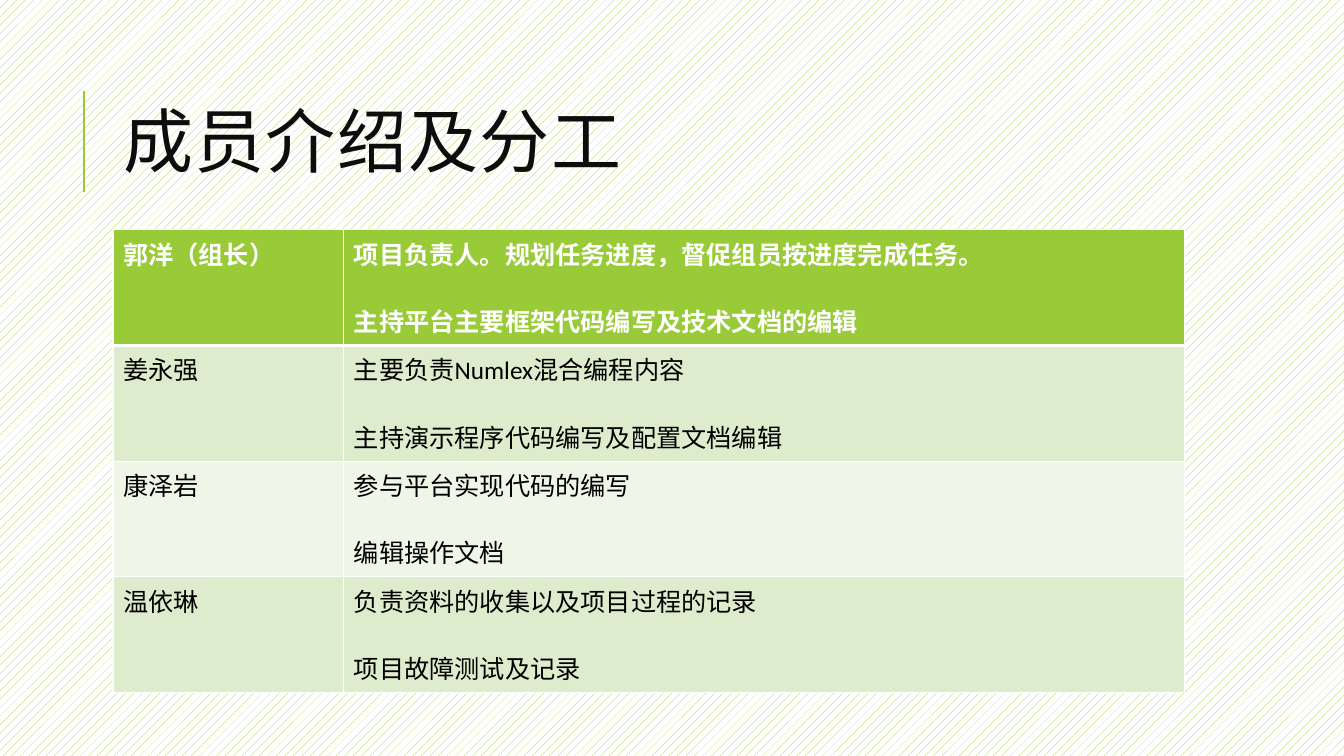
from dataclasses import dataclass

from lxml.etree import SubElement
from pptx import Presentation
from pptx.dml.color import RGBColor
from pptx.enum.dml import MSO_PATTERN
from pptx.enum.shapes import MSO_CONNECTOR
from pptx.enum.text import MSO_ANCHOR, MSO_AUTO_SIZE, PP_ALIGN
from pptx.oxml.ns import qn
from pptx.util import Inches, Pt


@dataclass(frozen=True)
class Theme:
    green: str = "99CB38"
    white: str = "FFFFFF"
    black: str = "000000"
    title_ink: str = "0D0D0D"
    bands: tuple = ("EFF6E8", "DEECCE")
    title_font: str = "Cabin"
    body_font: str = "Calibri"
    title_size: int = 50
    body_size: int = 18
    task_gap: int = 22
    rule_width: float = 1.5
    grid_width: int = 1
    header_rule_width: int = 3


THEME = Theme()
SLIDE_WIDTH, SLIDE_HEIGHT = 13.33, 7.5
LEFT, CONTENT_WIDTH = 1.12, 10.63
TITLE_BOX = (LEFT, 0.64, CONTENT_WIDTH, 1.64)
TABLE_BOX = (LEFT, 2.28, CONTENT_WIDTH, 4.59)
NAME_SHARE = 0.2154

MEMBERS = [
    ("郭洋（组长）", ["项目负责人。规划任务进度，督促组员按进度完成任务。",
                "主持平台主要框架代码编写及技术文档的编辑"]),
    ("姜永强", ["主要负责Numlex混合编程内容", "主持演示程序代码编写及配置文档编辑"]),
    ("康泽岩", ["参与平台实现代码的编写", "编辑操作文档"]),
    ("温依琳", ["负责资料的收集以及项目过程的记录", "项目故障测试及记录"]),
]


def color(code):
    return RGBColor.from_string(code)


def write(frame, lines, *, font, size, ink, bold=False, gap=0, line_spacing=None, tracking=None):
    frame.word_wrap = True
    for index, line in enumerate(lines):
        para = frame.add_paragraph() if index else frame.paragraphs[0]
        para.alignment = PP_ALIGN.LEFT
        para.space_before = Pt(gap if index else 0)
        if line_spacing:
            para.line_spacing = line_spacing
        span = para.add_run()
        span.text = line
        span.font.name = font
        span.font.size = Pt(size)
        span.font.bold = bold
        span.font.color.rgb = color(ink)
        if tracking:
            span.font._element.set("spc", str(tracking * 100))


def set_borders(cell, **widths):
    properties = cell._tc.get_or_add_tcPr()
    for side in "LRTB":
        width = Pt(widths.get(side, THEME.grid_width))
        line = SubElement(properties, qn(f"a:ln{side}"), w=str(width))
        fill = SubElement(line, qn("a:solidFill"))
        SubElement(fill, qn("a:srgbClr"), val=THEME.white)


def paint_background(page):
    fill = page.background.fill
    fill.patterned()
    fill.pattern = MSO_PATTERN.PERCENT_20
    fill.fore_color.rgb = color(THEME.green)
    fill.back_color.rgb = color(THEME.white)


def add_heading(page, box, text):
    left, top, width, height = box
    rule_left, rule_top, rule_length = left - 0.29, top + 0.26, 1
    rule = page.shapes.add_connector(
        MSO_CONNECTOR.STRAIGHT, Inches(rule_left), Inches(rule_top + rule_length),
        Inches(rule_left), Inches(rule_top))
    rule.line.color.rgb = color(THEME.green)
    rule.line.width = Pt(THEME.rule_width)
    SubElement(rule._element.spPr, qn("a:effectLst"))

    title = page.shapes.title
    title.left, title.top = Inches(left), Inches(top)
    title.width, title.height = Inches(width), Inches(height)
    frame = title.text_frame
    frame.auto_size = MSO_AUTO_SIZE.NONE
    frame.vertical_anchor = MSO_ANCHOR.MIDDLE
    write(frame, [text], font=THEME.title_font, size=THEME.title_size,
          ink=THEME.title_ink, line_spacing=0.8, tracking=1)


def add_member_table(page, box, members):
    left, top, width, height = box
    table = page.shapes.add_table(
        len(members), 2, Inches(left), Inches(top), Inches(width), Inches(height)).table
    for column, share in zip(table.columns, (NAME_SHARE, 1 - NAME_SHARE)):
        column.width = Inches(width * share)
    for index, (name, tasks) in enumerate(members):
        header = index == 0
        table.rows[index].height = Inches(height / len(members))
        borders = {0: {"B": THEME.header_rule_width}, 1: {"T": THEME.header_rule_width}}
        for cell, lines in zip(table.rows[index].cells, ([name], tasks)):
            set_borders(cell, **borders.get(index, {}))
            cell.fill.solid()
            cell.fill.fore_color.rgb = color(THEME.green if header else THEME.bands[index % 2])
            write(cell.text_frame, lines, font=THEME.body_font, size=THEME.body_size,
                  ink=THEME.white if header else THEME.black, bold=header, gap=THEME.task_gap)


def main():
    deck = Presentation()
    deck.slide_width, deck.slide_height = Inches(SLIDE_WIDTH), Inches(SLIDE_HEIGHT)
    page = deck.slides.add_slide(deck.slide_layouts.get_by_name("Title Only"))
    paint_background(page)
    add_heading(page, TITLE_BOX, "成员介绍及分工")
    add_member_table(page, TABLE_BOX, MEMBERS)
    deck.save("out.pptx")


if __name__ == "__main__":
    main()
